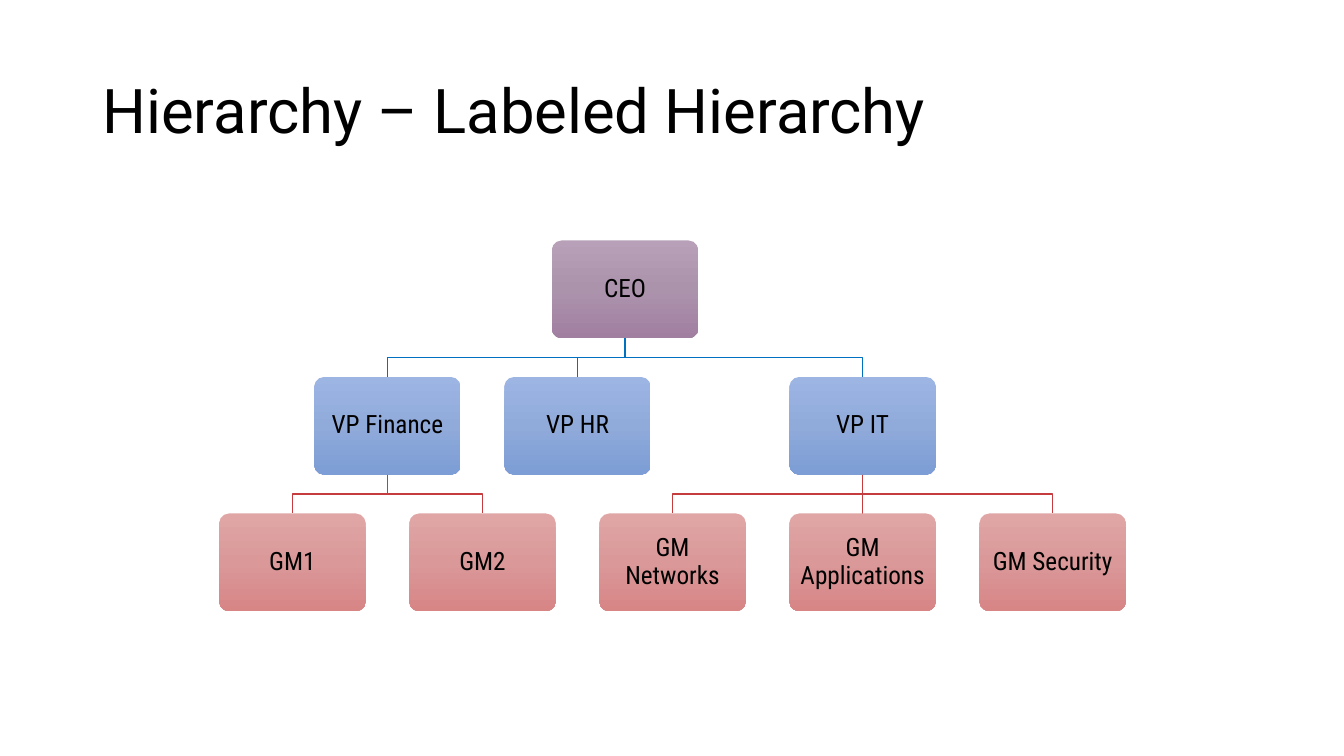
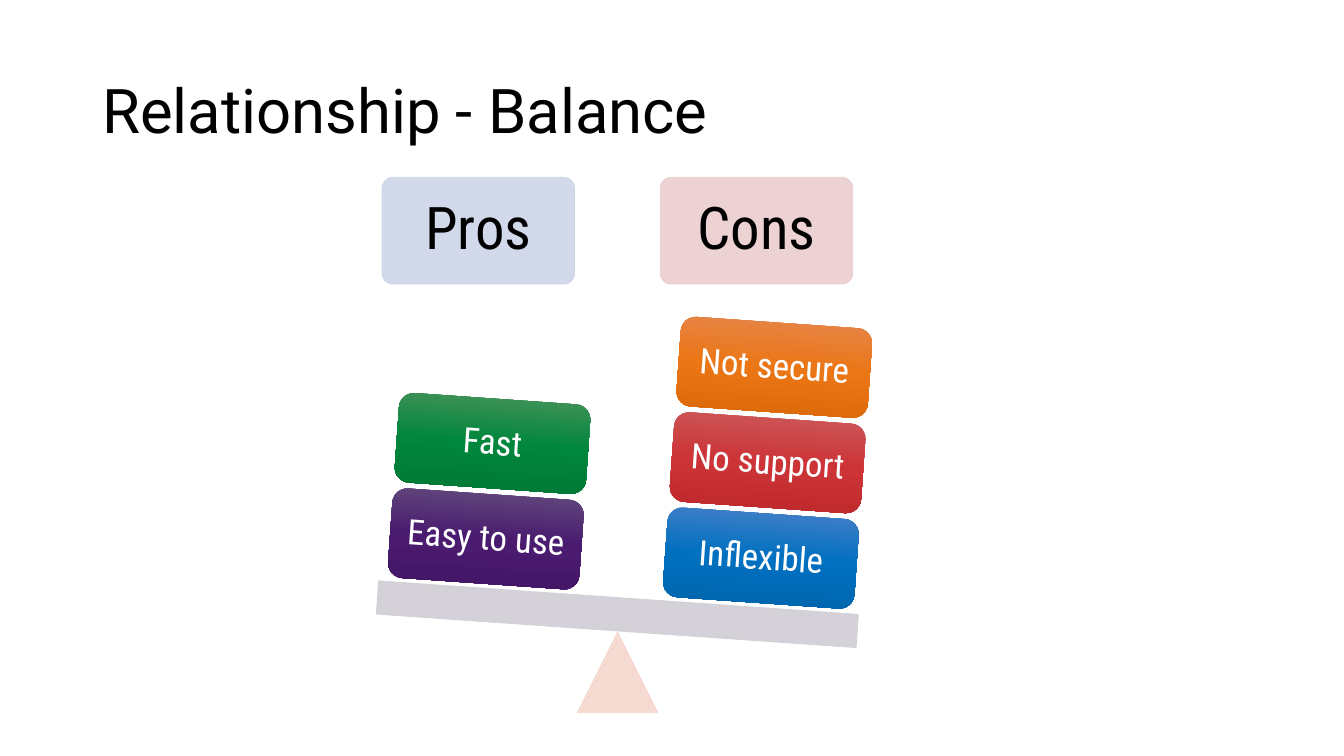
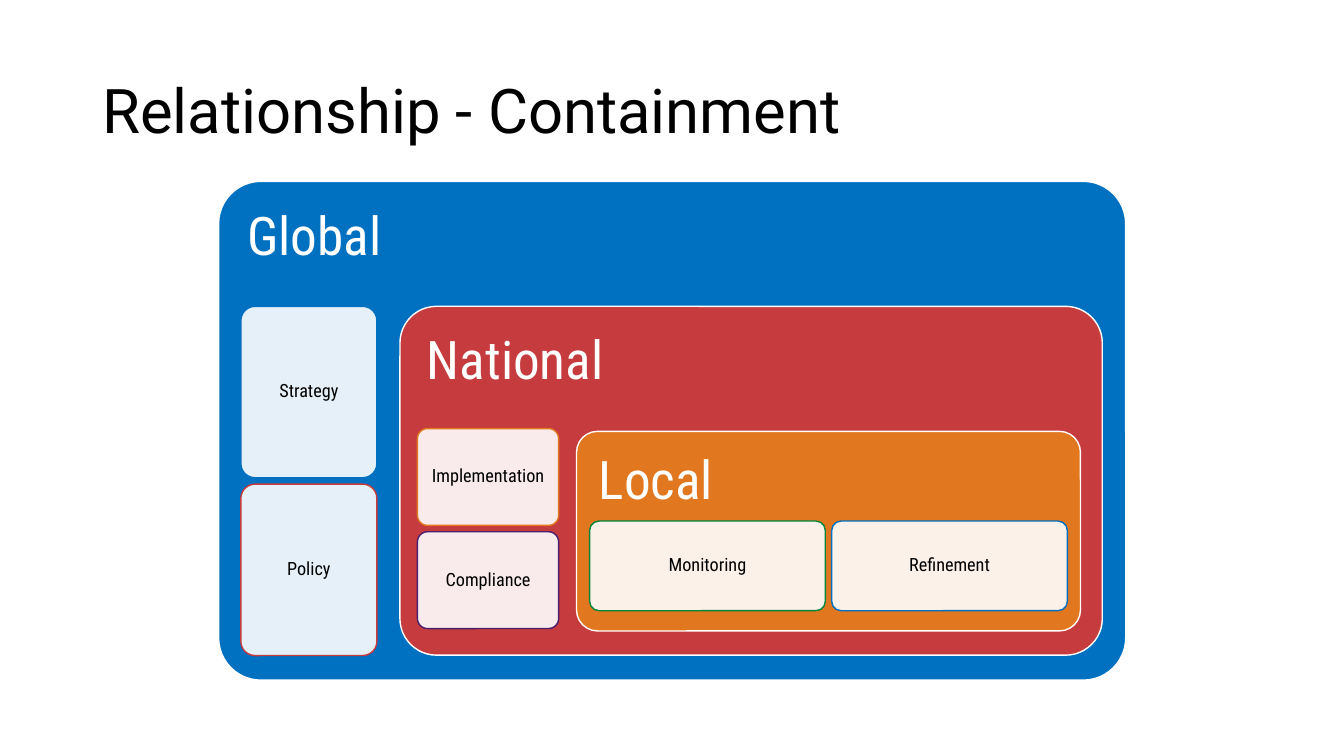
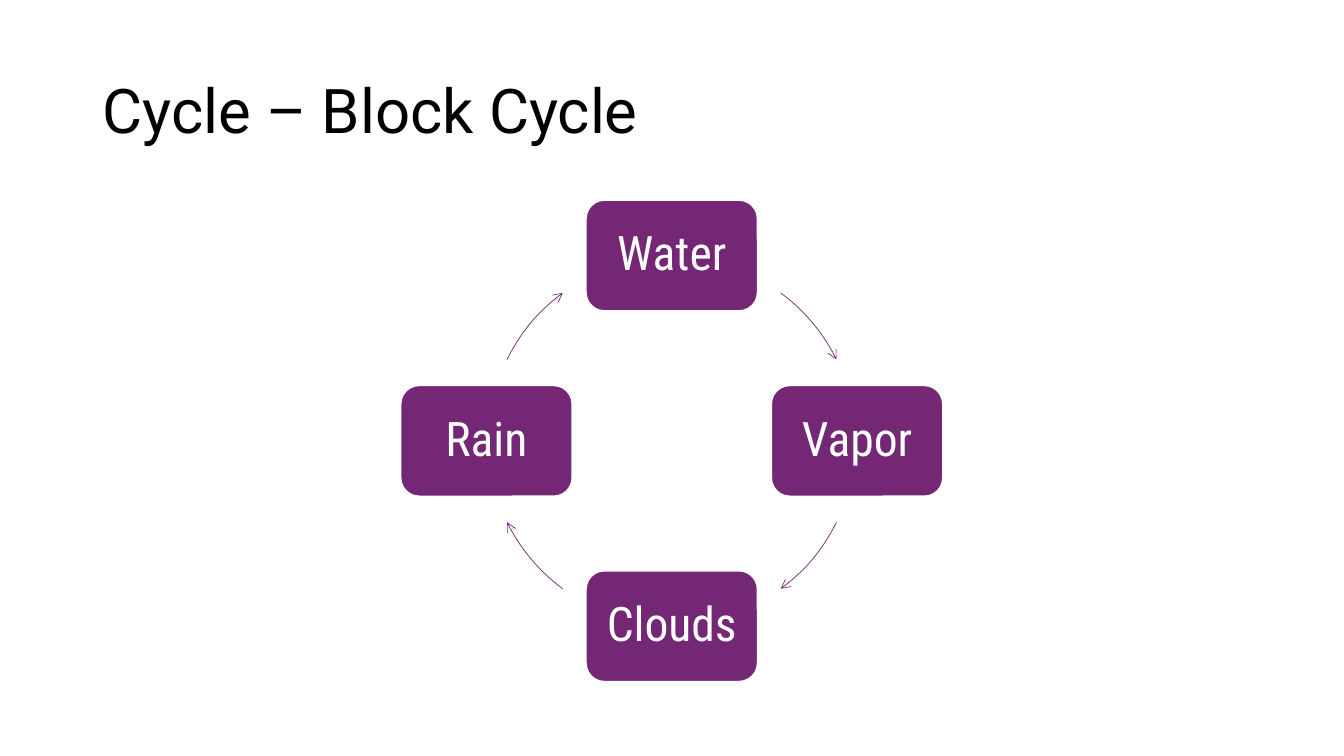
from copy import deepcopy
from dataclasses import dataclass
from math import cos, radians, sin
from typing import Any, NamedTuple

from lxml.etree import SubElement
from pptx import Presentation
from pptx.dml.color import RGBColor
from pptx.enum.shapes import MSO_CONNECTOR, MSO_SHAPE
from pptx.enum.text import MSO_ANCHOR, PP_ALIGN
from pptx.oxml.ns import qn
from pptx.util import Cm, Pt

Ramp = tuple[str, str, str]


@dataclass(frozen=True)
class Theme:
    """Colours, fonts and type sizes of the deck."""
    black: str = "000000"
    white: str = "FFFFFF"
    blue: str = "0070C0"
    red: str = "C53B3E"
    orange: str = "E1771F"
    green: str = "00863D"
    violet: str = "4A1F6B"
    plum: str = "742774"
    pale_blue: str = "CCD5E8"
    pale_red: str = "EACECE"
    peach: str = "F4D6CD"
    grey: str = "D0CDD4"
    ranks: tuple[Ramp, ...] = (
        ("B8A0B8", "AC93AC", "A17FA1"),
        ("9DB5E3", "90AADA", "7C9DD5"),
        ("E0A6A6", "DA9899", "D88586"),
    )
    blue_ramp: Ramp = ("4B81C8", "0070C0", "0064AB")
    red_ramp: Ramp = ("CC5C5D", "CC3437", "BC282B")
    orange_ramp: Ramp = ("E6874F", "EB7615", "DA6809")
    violet_ramp: Ramp = ("644F7E", "4A1B6F", "431566")
    green_ramp: Ramp = ("4B945C", "00863D", "007736")
    head_font: str = "Roboto"
    body_font: str = "Roboto Condensed"
    title: int = 44
    tag: int = 42
    panel: int = 38
    block: int = 34
    brick: int = 25
    node: int = 18
    card: int = 13


THEME = Theme()


class Box(NamedTuple):
    """Left, top, width and height in centimetres."""
    x: float
    y: float
    w: float
    h: float

    def cm(self) -> list[Cm]:
        """Give the four lengths as slide units."""
        return [Cm(side) for side in self]


@dataclass(frozen=True)
class Look:
    """Fill, outline and form of a shape."""
    fill: str | Ramp | None
    line: str | None = None
    width: float = 1
    alpha: int = 100
    bend: float | None = None
    turn: float = 0


@dataclass(frozen=True)
class Type:
    """How a text is set; the inset is in centimetres."""
    size: int
    inset: float
    hue: str = THEME.black
    font: str = THEME.body_font
    align: PP_ALIGN = PP_ALIGN.CENTER
    anchor: MSO_ANCHOR = MSO_ANCHOR.MIDDLE


class Node(NamedTuple):
    """A post in the tree: its rank, its column and its boss's column."""
    name: str
    rank: int
    col: float
    boss: float | None = None


class Pan(NamedTuple):
    """One side of the scale, with its bricks from the bottom up."""
    name: str
    hue: str
    bricks: tuple[tuple[str, Ramp], ...]


class Panel(NamedTuple):
    """A nested panel, its cards and the place of its first card."""
    name: str
    box: Box
    hue: str
    bend: float
    first: Box
    cards: tuple[tuple[str, str], ...]
    down: bool = True


def put(item: Any, **values: Any) -> None:
    """Set attributes of an item from its format values."""
    for key, value in values.items():
        setattr(item, key, value)


def fade(fill: Any, alpha: int) -> None:
    """Make a solid colour partly clear."""
    for hue in fill.iter(qn("a:srgbClr")):
        SubElement(hue, qn("a:alpha")).set("val", str(alpha * 1000))


def shade(shape: Any, ramp: Ramp) -> None:
    """Fill a shape with three colours from top to bottom."""
    shape.fill.gradient()
    shape.fill.gradient_angle = 270
    stops = shape.element.spPr.find(qn("a:gradFill")).find(qn("a:gsLst"))
    stops.insert(1, deepcopy(stops[0]))
    for stop, hue, place in zip(shape.fill.gradient_stops, ramp, (0, 0.5, 1)):
        stop.color.rgb = RGBColor.from_string(hue)
        stop.position = place


def rule(shape: Any, hue: str, width: float) -> None:
    """Set the colour and width of a line."""
    put(shape.line, width=Pt(width))
    shape.line.color.rgb = RGBColor.from_string(hue)


def style(shape: Any, look: Look) -> None:
    """Give a shape its fill, outline and form."""
    put(shape, rotation=look.turn)
    put(shape.shadow, inherit=False)
    props = shape.element.spPr
    if look.fill is None:
        shape.fill.background()
    elif isinstance(look.fill, tuple):
        shade(shape, look.fill)
    else:
        shape.fill.solid()
        shape.fill.fore_color.rgb = RGBColor.from_string(look.fill)
        if look.alpha < 100:
            fade(props.find(qn("a:solidFill")), look.alpha)
    if look.line is None:
        shape.line.fill.background()
    else:
        rule(shape, look.line, look.width)
        if look.alpha < 100 and look.line == look.fill:
            fade(props.find(qn("a:ln")), look.alpha)
    if look.bend is not None:
        shape.adjustments[0] = look.bend


def write(shape: Any, text: str, kind: Type) -> None:
    """Set the text of a shape."""
    frame, gap = shape.text_frame, Cm(kind.inset)
    put(frame, word_wrap=True, vertical_anchor=kind.anchor, margin_left=gap,
        margin_top=gap, margin_right=gap, margin_bottom=gap)
    para = frame.paragraphs[0]
    put(para, alignment=kind.align, line_spacing=0.9)
    run = para.add_run()
    put(run, text=text)
    put(run.font, size=Pt(kind.size), name=kind.font)
    run.font.color.rgb = RGBColor.from_string(kind.hue)


def draw(slide: Any, box: Box, look: Look, text: str = "",
         kind: Type | None = None,
         form: MSO_SHAPE = MSO_SHAPE.ROUNDED_RECTANGLE) -> Any:
    """Add a preset shape, with text if a type is given."""
    shape = slide.shapes.add_shape(form, *box.cm())
    style(shape, look)
    if kind:
        write(shape, text, kind)
    return shape


def start(deck: Any, title: str) -> Any:
    """Add a blank slide with its title."""
    slide = deck.slides.add_slide(deck.slide_layouts[6])
    head = slide.shapes.add_textbox(*Box(2.33, 1.02, 29.21, 3.68).cm())
    write(head, title, Type(THEME.title, 0.25, font=THEME.head_font,
                            align=PP_ALIGN.LEFT))
    return slide


def link(slide: Any, top: tuple[float, float], end: tuple[float, float],
         hue: str) -> None:
    """Join two posts by a straight or a stepped line."""
    (x, y), (to_x, to_y) = top, end
    if x == to_x:
        line = slide.shapes.add_connector(
            MSO_CONNECTOR.STRAIGHT, Cm(x), Cm(y), Cm(to_x), Cm(to_y))
        rule(line, hue, 1)
        SubElement(line.element.spPr, qn("a:effectLst"))
        return
    mid = (y + to_y) / 2
    pen = slide.shapes.build_freeform(Cm(x), Cm(y))
    steps = ((x, mid), (to_x, mid), end)
    pen.add_line_segments([(Cm(a), Cm(b)) for a, b in steps], close=False)
    style(pen.convert_to_shape(), Look(None, hue))


def draw_tree(deck: Any) -> None:
    """Build the chart of posts."""
    slide = start(deck, "Hierarchy – Labeled Hierarchy")
    wide, high = 3.69, 2.46
    left, top, col_step, row_step = 7.37, 6.06, 4.79, 3.44
    nodes = (
        Node("CEO", 0, 1.75),
        Node("VP Finance", 1, 0.5, 1.75),
        Node("GM1", 2, 0, 0.5),
        Node("GM2", 2, 1, 0.5),
        Node("VP HR", 1, 1.5, 1.75),
        Node("VP IT", 1, 3, 1.75),
        Node("GM Networks", 2, 2, 3),
        Node("GM Applications", 2, 3, 3),
        Node("GM Security", 2, 4, 3),
    )
    hues = (THEME.black, THEME.blue, THEME.red)
    for node in nodes:
        x, y = left + node.col * col_step, top + node.rank * row_step
        if node.boss is not None:
            boss = (left + node.boss * col_step, y - row_step + high)
            link(slide, boss, (x, y), hues[node.rank])
        draw(slide, Box(x - wide / 2, y, wide, high),
             Look(THEME.ranks[node.rank], bend=0.1),
             node.name, Type(THEME.node, 0.18))


def draw_scale(deck: Any) -> None:
    """Build the tilted scale with its two stacks."""
    slide = start(deck, "Relationship - Balance")
    tilt = 4
    across, up = cos(radians(tilt)), sin(radians(tilt))
    pans = (
        Pan("Pros", THEME.pale_blue, (("Easy to use", THEME.violet_ramp),
                                      ("Fast", THEME.green_ramp))),
        Pan("Cons", THEME.pale_red, (("Inflexible", THEME.blue_ramp),
                                     ("No support", THEME.red_ramp),
                                     ("Not secure", THEME.orange_ramp))),
    )
    draw(slide, Box(14.55, 15.93, 2.03, 2.03),
         Look(THEME.peach, THEME.peach, 0.5, 90), form=MSO_SHAPE.ISOSCELES_TRIANGLE)
    draw(slide, Box(9.5, 15.06, 12.12, 0.84),
         Look(THEME.grey, THEME.grey, 0.5, 90, turn=tilt),
         form=MSO_SHAPE.RECTANGLE)
    for side, pan in enumerate(pans):
        draw(slide, Box(9.63 + side * 7.01, 4.47, 4.85, 2.69),
             Look(pan.hue, pan.hue, 0.5, 90, bend=0.1),
             pan.name, Type(THEME.tag, 0.43))
        for level, (name, ramp) in enumerate(pan.bricks):
            out, rise = side * 6.95, level * 2.41
            x = 9.83 + out * across + rise * up
            y = 12.45 + out * up - rise * across
            draw(slide, Box(x, y, 4.83, 2.26), Look(ramp, turn=tilt),
                 name, Type(THEME.brick, 0.25, THEME.white))


def draw_nest(deck: Any) -> None:
    """Build the nested panels with their cards."""
    slide = start(deck, "Relationship - Containment")
    gap, bend = 0.16, 0.105
    panels = (
        Panel("Global", Box(5.51, 4.57, 22.86, 12.57), THEME.blue, 0.085,
              Box(6.07, 7.72, 3.43, 4.32),
              (("Strategy", THEME.blue), ("Policy", THEME.red))),
        Panel("National", Box(10.08, 7.72, 17.7, 8.79), THEME.red, bend,
              Box(10.52, 10.8, 3.56, 2.44),
              (("Implementation", THEME.orange), ("Compliance", THEME.violet))),
        Panel("Local", Box(14.53, 10.87, 12.7, 5.03), THEME.orange, bend,
              Box(14.86, 13.13, 5.94, 2.26),
              (("Monitoring", THEME.green), ("Refinement", THEME.blue)),
              down=False),
    )
    head = Type(THEME.panel, 0.41, THEME.white, align=PP_ALIGN.LEFT,
                anchor=MSO_ANCHOR.TOP)
    for panel in panels:
        draw(slide, panel.box, Look(panel.hue, THEME.white, bend=panel.bend),
             panel.name, head)
        x, y, wide, high = panel.first
        for name, rim in panel.cards:
            draw(slide, Box(x, y, wide, high),
                 Look(THEME.white, rim, alpha=90, bend=bend),
                 name, Type(THEME.card, 0.13))
            if panel.down:
                y += high + gap
            else:
                x += wide + gap


def draw_ring(deck: Any) -> None:
    """Build the cycle of blocks joined by arcs."""
    slide = start(deck, "Cycle – Block Cycle")
    mid_x, mid_y, reach = 16.93, 11.11, 4.67
    wide, high = 4.32, 2.79
    ring = Box(mid_x - 4.63, mid_y - 4.63, 9.26, 9.26)
    arcs = ((306.4, 333.7), (26.3, 53.6), (126.4, 153.7), (206.3, 233.6))
    names = ("Water", "Vapor", "Clouds", "Rain")
    for spot, (name, arc) in enumerate(zip(names, arcs)):
        angle = radians(spot * 90 - 90)
        x, y = mid_x + reach * cos(angle), mid_y + reach * sin(angle)
        draw(slide, Box(x - wide / 2, y - high / 2, wide, high),
             Look(THEME.plum, THEME.white),
             name, Type(THEME.block, 0.36, THEME.white))
        curve = draw(slide, ring, Look(None, THEME.plum, 0.5),
                     form=MSO_SHAPE.ARC)
        for end, degree in enumerate(arc):
            curve.adjustments[end] = degree * 0.6
        line = curve.element.spPr.find(qn("a:ln"))
        SubElement(line, qn("a:tailEnd")).set("type", "arrow")


def main() -> None:
    """Build and save the deck."""
    deck = Presentation()
    put(deck, slide_width=Cm(33.87), slide_height=Cm(19.05))
    for build in (draw_tree, draw_scale, draw_nest, draw_ring):
        build(deck)
    deck.save("out.pptx")


main()
